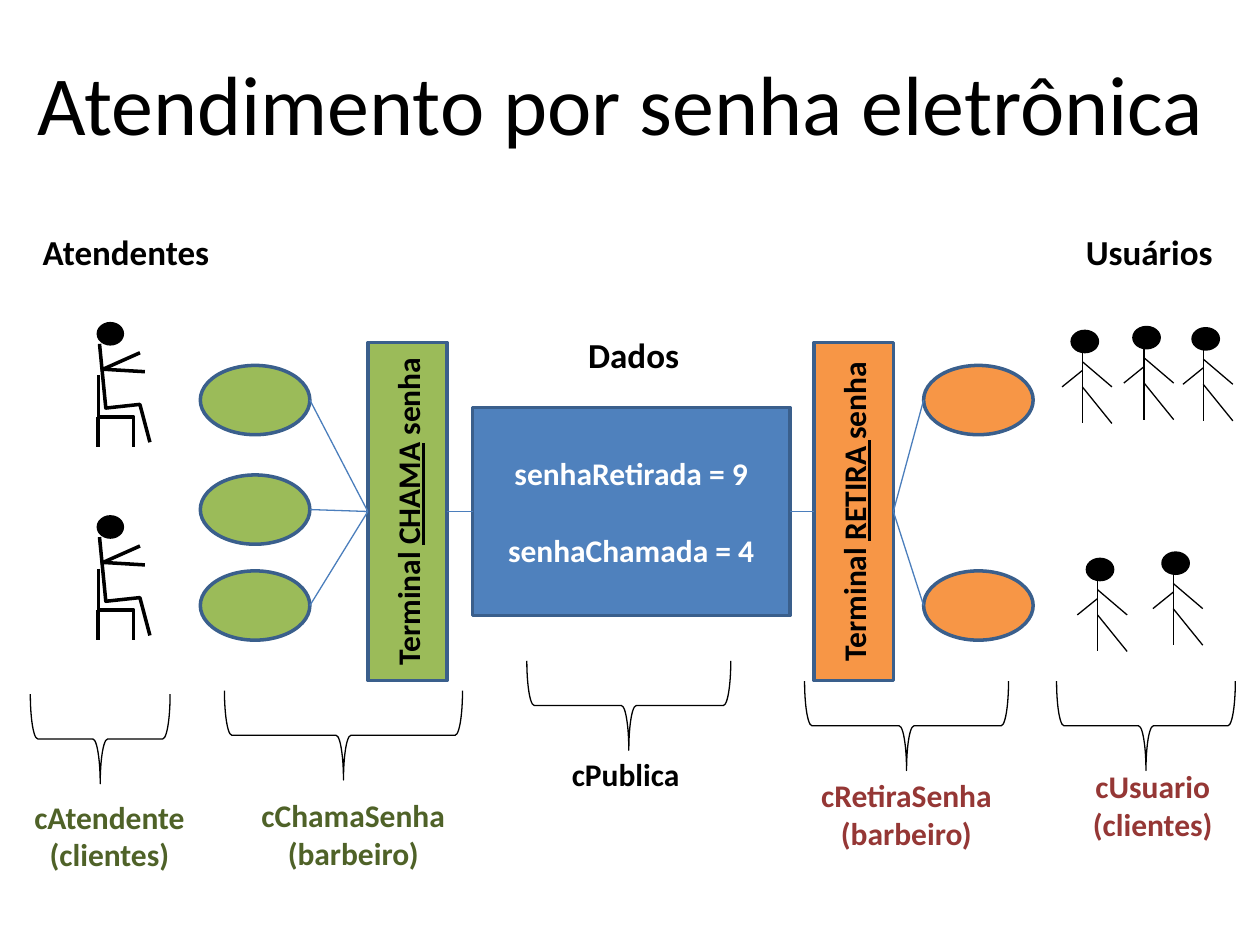
"""Build the slide on electronic ticket attendance."""
from lxml.etree import SubElement
from pptx import Presentation
from pptx.dml.color import RGBColor
from pptx.enum.shapes import MSO_CONNECTOR, MSO_SHAPE as SHAPE
from pptx.enum.text import MSO_ANCHOR as ANCHOR, MSO_AUTO_SIZE as AUTO, PP_ALIGN as ALIGN
from pptx.oxml.ns import qn
from pptx.util import Pt

BLACK = RGBColor(0x00, 0x00, 0x00)
WHITE = RGBColor(0xFF, 0xFF, 0xFF)
BLUE = RGBColor(0x4F, 0x81, 0xBD)
EDGE = RGBColor(0x3A, 0x5F, 0x8C)
LINK = RGBColor(0x4B, 0x7E, 0xBC)
GREEN = RGBColor(0x9B, 0xBB, 0x59)
ORANGE = RGBColor(0xF7, 0x96, 0x46)
DARK_GREEN = RGBColor(0x4F, 0x62, 0x28)
DARK_RED = RGBColor(0x95, 0x37, 0x35)

MID_Y = 292.3
OVAL_W, OVAL_H = 62.6, 39.6
TERMINAL_W, TERMINAL_H = 45.4, 193
DATA_X, DATA_W, DATA_H = 270, 181.4, 118.8


def style_paragraph(p, size, color, bold=True, align=ALIGN.CENTER):
    p.alignment = align
    p.font.name = "Calibri"
    p.font.size = Pt(size)
    p.font.bold = bold
    p.font.color.rgb = color


def add_shape(shapes, kind, x, y, w, h, fill=None, line=EDGE, weight=2):
    sp = shapes.add_shape(kind, Pt(x), Pt(y), Pt(w), Pt(h))
    sp.shadow.inherit = False
    if fill is None:
        sp.fill.background()
    else:
        sp.fill.solid()
        sp.fill.fore_color.rgb = fill
    sp.line.color.rgb = line
    sp.line.width = Pt(weight)
    return sp


def add_line(shapes, x1, y1, x2, y2, color=BLACK, weight=0.75):
    cxn = shapes.add_connector(MSO_CONNECTOR.STRAIGHT, Pt(x1), Pt(y1), Pt(x2), Pt(y2))
    cxn.line.color.rgb = color
    cxn.line.width = Pt(weight)
    SubElement(cxn._element.spPr, qn("a:effectLst"))


def add_polyline(shapes, points):
    points = [(Pt(x), Pt(y)) for x, y in points]
    builder = shapes.build_freeform(*points[0], scale=1.0)
    builder.add_line_segments(points[1:], close=False)
    sp = builder.convert_to_shape()
    sp.shadow.inherit = False
    sp.fill.background()
    sp.line.color.rgb = BLACK
    sp.line.width = Pt(2)


def add_label(shapes, x, y, w, h, lines, size=18, color=BLACK):
    tf = shapes.add_textbox(Pt(x), Pt(y), Pt(w), Pt(h)).text_frame
    tf.word_wrap = False
    tf.auto_size = AUTO.SHAPE_TO_FIT_TEXT
    tf.text = "\n".join(lines)
    for p in tf.paragraphs:
        style_paragraph(p, size, color, align=ALIGN.CENTER if len(lines) > 1 else ALIGN.LEFT)


def add_brace(shapes, x, y, w, depth=51.1):
    left, top = x + (w - depth) / 2, y + (depth - w) / 2
    sp = add_shape(shapes, SHAPE.RIGHT_BRACE, left, top, depth, w, line=BLACK, weight=0.75)
    sp.rotation = 90


def add_standing_person(shapes, x, y):
    group = shapes.add_group_shape().shapes
    spine = x + 5.8
    add_line(group, spine, y + 11.5, spine, y + 52.6)
    add_line(group, spine, y + 31.7, x + 22.7, y + 52.6)
    add_line(group, x - 5.8, y + 31.7, spine, y + 22.3)
    add_line(group, spine, y + 17.3, x + 22.7, y + 31.7)
    add_shape(group, SHAPE.OVAL, x, y, 14.4, 11.5, BLACK, BLACK)


def add_seated_person(shapes, x, y):
    group = shapes.add_group_shape().shapes
    chair = [(0, 29.5), (0, 53.3), (20.2, 53.3), (20.2, 70.6)]
    body = [(0.7, 11.5), (4.3, 48.2), (23.8, 46.1), (29.5, 67.7)]
    arms = [[(2.9, 25.9), (23.8, 16.6)], [(1.4, 25.9), (26.6, 27.4)]]
    for points in (chair, body, *arms):
        add_polyline(group, [(x + dx, y + dy) for dx, dy in points])
    add_line(group, x, y + 53.3, x, y + 70.6, weight=2.25)
    add_shape(group, SHAPE.OVAL, x, y, 13.7, 11.5, BLACK, BLACK)


def add_terminal(shapes, x, fill, runs):
    sp = add_shape(shapes, SHAPE.RECTANGLE, x, MID_Y - TERMINAL_H / 2, TERMINAL_W, TERMINAL_H, fill)
    tf = sp.text_frame
    tf.vertical_anchor = ANCHOR.MIDDLE
    tf._txBody.bodyPr.set("vert", "vert270")
    p = tf.paragraphs[0]
    style_paragraph(p, 18, BLACK)
    for text, underlined in runs:
        r = p.add_run()
        r.text = text
        r.font.underline = underlined


def add_data(shapes):
    sp = add_shape(shapes, SHAPE.RECTANGLE, DATA_X, MID_Y - DATA_H / 2, DATA_W, DATA_H, BLUE)
    tf = sp.text_frame
    tf.vertical_anchor = ANCHOR.MIDDLE
    tf.text = "senhaRetirada = 9\nsenhaChamada = 4"
    for p in tf.paragraphs:
        style_paragraph(p, 18, WHITE)
    tf.paragraphs[1].space_before = Pt(22)


def add_title(s):
    title = s.shapes.title
    title.left, title.top, title.width, title.height = Pt(14.4), Pt(25.9), Pt(687.6), Pt(65.5)
    tf = title.text_frame
    tf.text = "Atendimento por senha eletrônica"
    tf.word_wrap = False
    tf.auto_size = AUTO.NONE
    tf.vertical_anchor = ANCHOR.TOP
    style_paragraph(tf.paragraphs[0], 48, BLACK, bold=False, align=ALIGN.LEFT)


def add_ovals(shapes, x, tops, fill, edge_x, terminal_x):
    for top in tops:
        add_shape(shapes, SHAPE.OVAL, x, top, OVAL_W, OVAL_H, fill)
        add_line(shapes, edge_x, top + OVAL_H / 2, terminal_x, MID_Y, LINK)


def main():
    prs = Presentation()
    prs.slide_width, prs.slide_height = Pt(720), Pt(540)
    s = prs.slides.add_slide(prs.slide_layouts[5])
    shapes = s.shapes
    add_title(s)

    call_x, take_x = 210.2, 465.1
    add_data(shapes)
    add_terminal(shapes, take_x, ORANGE, [("Terminal ", False), ("RETIRA ", True), ("senha", False)])
    add_terminal(shapes, call_x, GREEN, [("Terminal ", False), ("CHAMA", True), (" senha", False)])
    add_line(shapes, call_x + TERMINAL_W, MID_Y, DATA_X, MID_Y, LINK)
    add_line(shapes, DATA_X + DATA_W, MID_Y, take_x, MID_Y, LINK)
    add_ovals(shapes, 114.5, (208.8, 271.4, 326.2), GREEN, 114.5 + OVAL_W, call_x)
    add_ovals(shapes, 527.8, (208.8, 326.2), ORANGE, 527.8, take_x + TERMINAL_W)

    for y in (185, 295.4):
        add_seated_person(shapes, 56.2, y)
    for x, y in ((612.7, 189.4), (648, 187.2), (681.8, 187.9), (664.6, 316.1), (621.4, 319.7)):
        add_standing_person(shapes, x, y)

    for x, y, w, text in ((613.4, 128.2, 87.8, "Usuários"), (17.3, 128.2, 110.9, "Atendentes"),
                          (329, 187.2, 67, "Dados")):
        add_label(shapes, x, y, w, 31.7, [text], size=20)
    add_label(shapes, 319.7, 427.7, 76.3, 28.8, ["cPublica"])
    for x, y, w, color, *lines in (
            (617, 434.9, 83.5, DARK_RED, "cUsuario", "(clientes)"),
            (461.5, 439.9, 113, DARK_RED, "cRetiraSenha", "(barbeiro)"),
            (12.2, 452.2, 100.8, DARK_GREEN, "cAtendente", "(clientes)"),
            (141.8, 451.4, 120.2, DARK_GREEN, "cChamaSenha", "(barbeiro)")):
        add_label(shapes, x, y, w, 51.1, lines, color=color)

    for x, y, w in ((603.7, 389.2, 102.2), (459.7, 389.2, 116.6), (301, 377.6, 116.6),
                    (128.2, 394.6, 136.1), (17.3, 396.7, 79.9)):
        add_brace(shapes, x, y, w)
    prs.save("out.pptx")


main()
